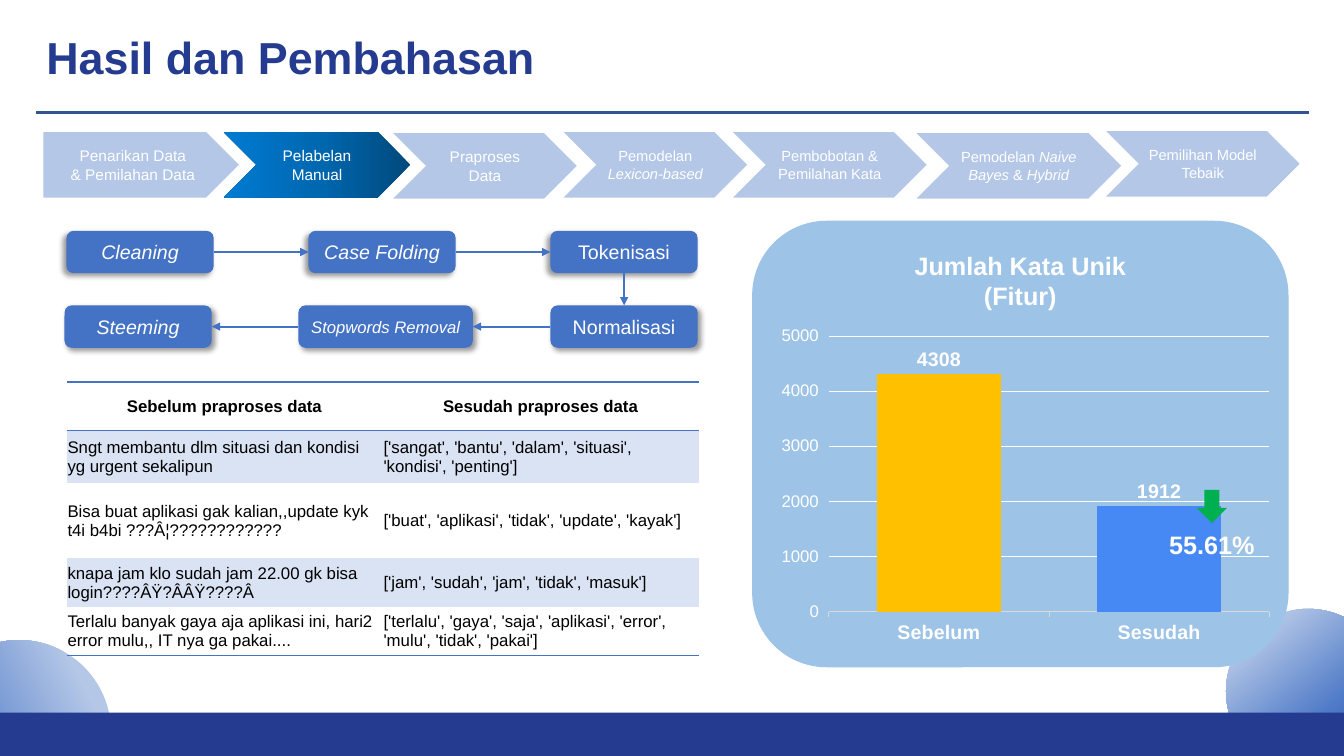
from lxml.etree import SubElement
from pptx import Presentation
from pptx.chart.data import CategoryChartData
from pptx.dml.color import RGBColor
from pptx.enum.chart import XL_CHART_TYPE as ChartType, XL_LABEL_POSITION as LabelPosition, XL_TICK_MARK as TickMark
from pptx.enum.shapes import MSO_CONNECTOR as Connector, MSO_SHAPE as Shape
from pptx.enum.text import MSO_ANCHOR as Anchor, MSO_AUTO_SIZE as AutoSize, PP_ALIGN as Align
from pptx.oxml.ns import qn
from pptx.util import Inches, Pt

FONT = "Arial"
WHITE = RGBColor(0xFF, 0xFF, 0xFF)
BLACK = RGBColor(0x00, 0x00, 0x00)
NAVY = RGBColor(0x24, 0x3B, 0x90)
RULE_BLUE = RGBColor(0x32, 0x54, 0x91)
BLUE = RGBColor(0x44, 0x72, 0xC4)
PALE_BLUE = RGBColor(0xB4, 0xC7, 0xE7)
BAND_BLUE = RGBColor(0xDA, 0xE3, 0xF3)
PANEL_BLUE = RGBColor(0x9D, 0xC3, 0xE6)
MID_BLUE = RGBColor(0x4D, 0x79, 0xC7)
DEEP_BLUE = RGBColor(0x26, 0x44, 0x78)
ACTIVE_STOPS = [(0, RGBColor(0x00, 0x49, 0x7C)), (50, RGBColor(0x00, 0x68, 0xB1)),
                (100, RGBColor(0x00, 0x7B, 0xD2))]
GREEN = RGBColor(0x00, 0xB0, 0x50)
AMBER = RGBColor(0xFF, 0xC0, 0x00)
BAR_BLUE = RGBColor(0x46, 0x88, 0xF4)
AXIS_GREY = RGBColor(0xD9, 0xD9, 0xD9)

# left, top, width, size, text; asterisks enclose italics
STAGES = [
    (0.43, 1.31, 1.94, 11, "Penarikan Data\n& Pemilahan Data"),
    (2.22, 1.31, 1.85, 11, "Pelabelan Manual"),
    (3.9, 1.32, 1.82, 11, "Praproses Data"),
    (5.59, 1.31, 1.82, 10.5, "Pemodelan *Lexicon-based*"),
    (7.27, 1.31, 1.92, 10.5, "Pembobotan & Pemilahan Kata"),
    (9.09, 1.32, 2.03, 10.5, "Pemodelan *Naive Bayes *&* Hybrid*"),
    (10.97, 1.3, 1.92, 10.5, "Pemilihan Model Tebaik"),
]
ACTIVE_STAGE = 1

# left, top, width, size, shadow direction, text
FLOW = [
    (0.66, 2.29, 1.46, 14, 135, "*Cleaning*"),
    (3.06, 2.29, 1.46, 14, 135, "*Case Folding*"),
    (5.46, 2.29, 1.46, 14, 135, "Tokenisasi"),
    (5.46, 3.03, 1.46, 14, 45, "Normalisasi"),
    (2.96, 3.03, 1.73, 11.9, 45, "*Stopwords Removal*"),
    (0.64, 3.03, 1.46, 14, 45, "*Steeming*"),
]
TOP, LEFT, BOTTOM, RIGHT = range(4)
FLOW_SITES = [(RIGHT, LEFT), (RIGHT, LEFT), (BOTTOM, TOP), (LEFT, RIGHT), (LEFT, RIGHT)]

ROWS = [
    ("Sebelum praproses data", "Sesudah praproses data"),
    ("Sngt membantu dlm situasi dan kondisi yg urgent sekalipun",
     "['sangat', 'bantu', 'dalam', 'situasi', 'kondisi', 'penting']"),
    ("Bisa buat aplikasi gak kalian,,update kyk t4i b4bi ???Â¦????????????",
     "['buat', 'aplikasi', 'tidak', 'update', 'kayak']"),
    ("knapa jam klo sudah jam 22.00 gk bisa login????ÂŸ?ÂÂŸ????Â",
     "['jam', 'sudah', 'jam', 'tidak', 'masuk']"),
    ("Terlalu banyak gaya aja aplikasi ini, hari2 error mulu,, IT nya ga pakai....",
     "['terlalu', 'gaya', 'saja', 'aplikasi', 'error', 'mulu', 'tidak', 'pakai']"),
]
ROW_HEIGHTS = [0.48, 0.52, 0.75, 0.48, 0.48]
NO_TABLE_STYLE = "{2D5ABB26-0587-4C30-8999-92F81FD0307C}"


def write(frame, text, size, color=WHITE, bold=False, align=Align.CENTER):
    """Fill a text frame; asterisks switch italics on and off."""
    frame.word_wrap = True
    frame.vertical_anchor = Anchor.MIDDLE
    for index, line in enumerate(text.split("\n")):
        paragraph = frame.add_paragraph() if index else frame.paragraphs[0]
        paragraph.alignment = align
        for part, words in enumerate(line.split("*")):
            if words:
                run = paragraph.add_run()
                run.text = words
                set_font(run.font, size, color, bold)
                run.font.italic = part % 2 == 1


def set_font(font, size, color, bold=False):
    font.name, font.size, font.bold = FONT, Pt(size), bold
    font.color.rgb = color


def add_box(slide, kind, left, top, width, height, color=None):
    shape = slide.shapes.add_shape(kind, Inches(left), Inches(top), Inches(width), Inches(height))
    shape.shadow.inherit = False
    shape.line.fill.background()
    if color is not None:
        shape.fill.solid()
        shape.fill.fore_color.rgb = color
    return shape


def add_label(slide, left, top, width, height, text):
    label = slide.shapes.add_textbox(Inches(left), Inches(top), Inches(width), Inches(height))
    write(label.text_frame, text, 18, bold=True)


def set_gradient(shape, stops, angle):
    """Apply (percent, color) stops along a clockwise angle."""
    shape.fill.gradient()
    shape.fill.gradient_angle = 360 - angle
    stop_list = shape.element.find(".//" + qn("a:gsLst"))
    for stop in list(stop_list):
        stop_list.remove(stop)
    for percent, color in stops:
        stop = SubElement(stop_list, qn("a:gs"), pos=str(percent * 1000))
        SubElement(stop, qn("a:srgbClr"), val=str(color))


def add_shadow(shape, direction):
    effects = shape.element.spPr.find(qn("a:effectLst"))
    shadow = SubElement(effects, qn("a:outerShdw"), blurRad=str(Pt(4)), dist=str(Pt(3)),
                        dir=str(direction * 60000), rotWithShape="0")
    color = SubElement(shadow, qn("a:srgbClr"), val=str(BLACK))
    SubElement(color, qn("a:alpha"), val="40000")


def add_line(slide, start, end, color, width, arrow=False):
    line = slide.shapes.add_connector(Connector.STRAIGHT, *map(Inches, start + end))
    line.line.color.rgb = color
    line.line.width = Pt(width)
    if arrow:
        SubElement(line.line._get_or_add_ln(), qn("a:tailEnd"), type="triangle")
    SubElement(line.element.spPr, qn("a:effectLst"))
    return line


def add_title(slide):
    title = slide.shapes.title
    title.left, title.top, title.width, title.height = map(Inches, (0.36, 0.24, 8, 0.64))
    write(title.text_frame, "Hasil dan Pembahasan", 32, NAVY, bold=True, align=Align.LEFT)
    title.text_frame.auto_size = AutoSize.NONE


def add_stages(slide):
    for index, (left, top, width, size, text) in enumerate(STAGES):
        kind = Shape.CHEVRON if index else Shape.PENTAGON
        stage = add_box(slide, kind, left, top, width, 0.65, PALE_BLUE)
        if index == ACTIVE_STAGE:
            set_gradient(stage, ACTIVE_STOPS, 180)
        write(stage.text_frame, text, size)


def add_flow(slide):
    steps = []
    for left, top, width, size, direction, text in FLOW:
        step = add_box(slide, Shape.ROUNDED_RECTANGLE, left, top, width, 0.42, BLUE)
        add_shadow(step, direction)
        write(step.text_frame, text, size)
        steps.append(step)
    for source, target, (start, end) in zip(steps, steps[1:], FLOW_SITES):
        arrow = add_line(slide, (0, 0), (0, 0), BLUE, 1.5, arrow=True)
        arrow.begin_connect(source, start)
        arrow.end_connect(target, end)


def add_border(cell, side):
    line = SubElement(cell._tc.get_or_add_tcPr(), qn("a:" + side), w=str(Pt(1)))
    fill = SubElement(line, qn("a:solidFill"))
    SubElement(fill, qn("a:srgbClr"), val=str(BLUE))


def add_examples(slide):
    frame = slide.shapes.add_table(len(ROWS), 2, Inches(0.66), Inches(3.79), Inches(6.27), Inches(2.7))
    frame.element.find(".//" + qn("a:tableStyleId")).text = NO_TABLE_STYLE
    table = frame.table
    table.first_row = table.horz_banding = False
    for row, (texts, height) in enumerate(zip(ROWS, ROW_HEIGHTS)):
        table.rows[row].height = Inches(height)
        header = row == 0
        for column, text in enumerate(texts):
            cell = table.cell(row, column)
            margin = Inches(0.08 if header else 0.01)
            cell.margin_left = cell.margin_right = cell.margin_top = margin
            cell.margin_bottom = margin if header else 0
            write(cell.text_frame, text, 12, BLACK, header, Align.CENTER if header else Align.LEFT)
            cell.vertical_anchor = Anchor.MIDDLE
            if header:
                add_border(cell, "lnT")
            if header or row == len(ROWS) - 1:
                add_border(cell, "lnB")
            if row % 2:
                cell.fill.solid()
                cell.fill.fore_color.rgb = BAND_BLUE
            else:
                cell.fill.background()


def add_word_chart(slide):
    data = CategoryChartData()
    data.categories = ["Sebelum", "Sesudah"]
    data.add_series("Series 1", (4308, 1912))
    chart = slide.shapes.add_chart(ChartType.COLUMN_CLUSTERED, Inches(7.65), Inches(3.18),
                                   Inches(5.04), Inches(3.27), data).chart
    chart.has_legend = chart.has_title = False
    set_font(chart.font, 10, BLACK)
    plot = chart.plots[0]
    plot.gap_width, plot.overlap, plot.vary_by_categories = 78, -27, False
    for point, color in enumerate((AMBER, BAR_BLUE)):
        fill = plot.series[0].points[point].format.fill
        fill.solid()
        fill.fore_color.rgb = color
    labels = plot.series[0].data_labels
    labels.show_value = True
    labels.position = LabelPosition.OUTSIDE_END
    set_font(labels.font, 14, WHITE, bold=True)

    categories, values = chart.category_axis, chart.value_axis
    set_font(categories.tick_labels.font, 14, WHITE, bold=True)
    set_font(values.tick_labels.font, 12, WHITE)
    categories.major_tick_mark = values.major_tick_mark = TickMark.OUTSIDE
    values.minimum_scale, values.maximum_scale, values.major_unit = 0, 5000, 1000
    values.format.line.fill.background()
    for line, color in ((categories.format.line, AXIS_GREY), (values.major_gridlines.format.line, WHITE)):
        line.color.rgb = color
        line.width = Pt(0.75)


def main():
    presentation = Presentation()
    presentation.slide_width, presentation.slide_height = Inches(13.33), Inches(7.5)
    slide = presentation.slides.add_slide(presentation.slide_layouts[5])
    right_circle = add_box(slide, Shape.OVAL, 12.16, 6.04, 1.63, 1.63)
    set_gradient(right_circle, [(16, PALE_BLUE), (63, MID_BLUE), (100, DEEP_BLUE)], 50)
    left_circle = add_box(slide, Shape.OVAL, -0.72, 6.35, 1.82, 1.82)
    set_gradient(left_circle, [(26, PALE_BLUE), (72, MID_BLUE), (100, DEEP_BLUE)], 90)
    left_circle.rotation = 63.3
    add_line(slide, (0.36, 1.12), (12.98, 1.12), RULE_BLUE, 2.25)
    add_box(slide, Shape.RECTANGLE, 0, 7.07, 13.33, 0.43, NAVY)
    add_title(slide)
    add_stages(slide)
    add_examples(slide)
    add_flow(slide)
    add_box(slide, Shape.ROUNDED_RECTANGLE, 7.46, 2.19, 5.32, 4.43, PANEL_BLUE)
    add_word_chart(slide)
    add_label(slide, 8.92, 2.57, 2.4, 0.42, "Jumlah Kata Unik (Fitur)")
    add_box(slide, Shape.DOWN_ARROW, 11.87, 4.86, 0.3, 0.33, GREEN)
    add_label(slide, 11.35, 5.19, 1.34, 0.42, "55.61%")
    presentation.save("out.pptx")


if __name__ == "__main__":
    main()
